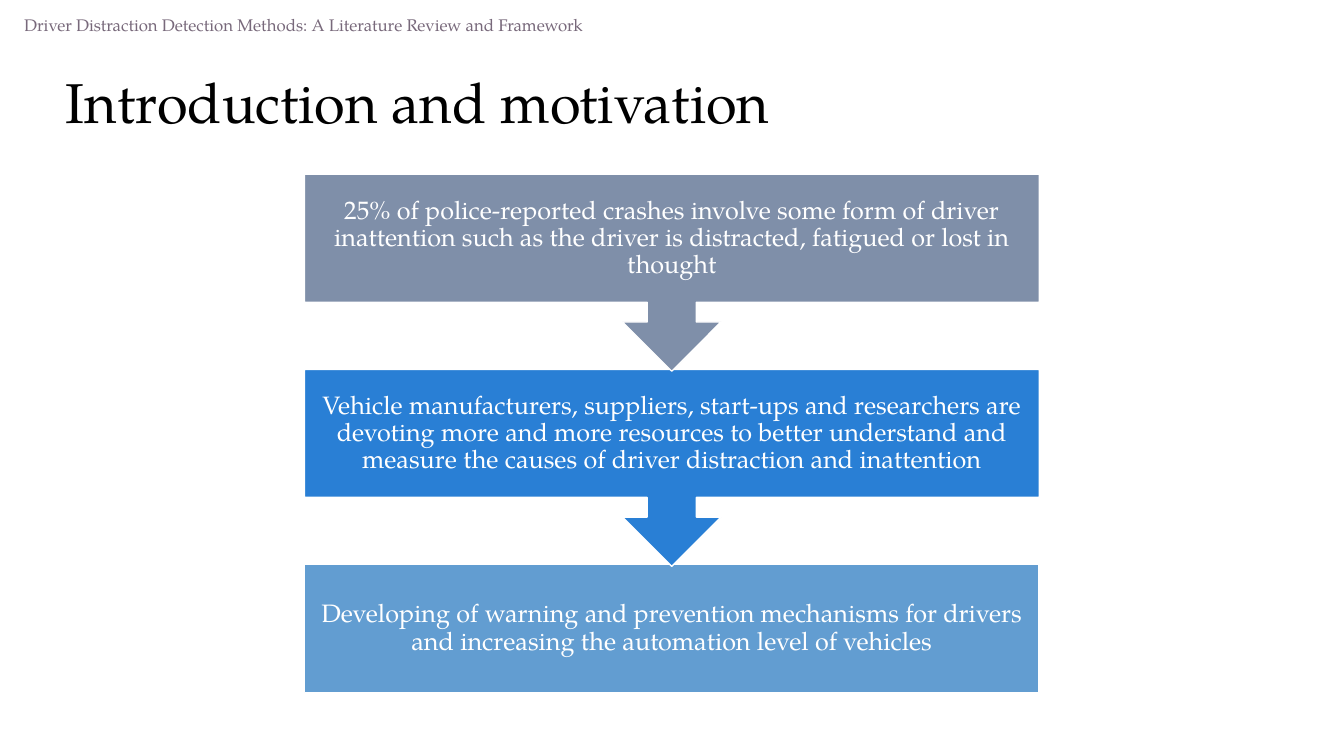
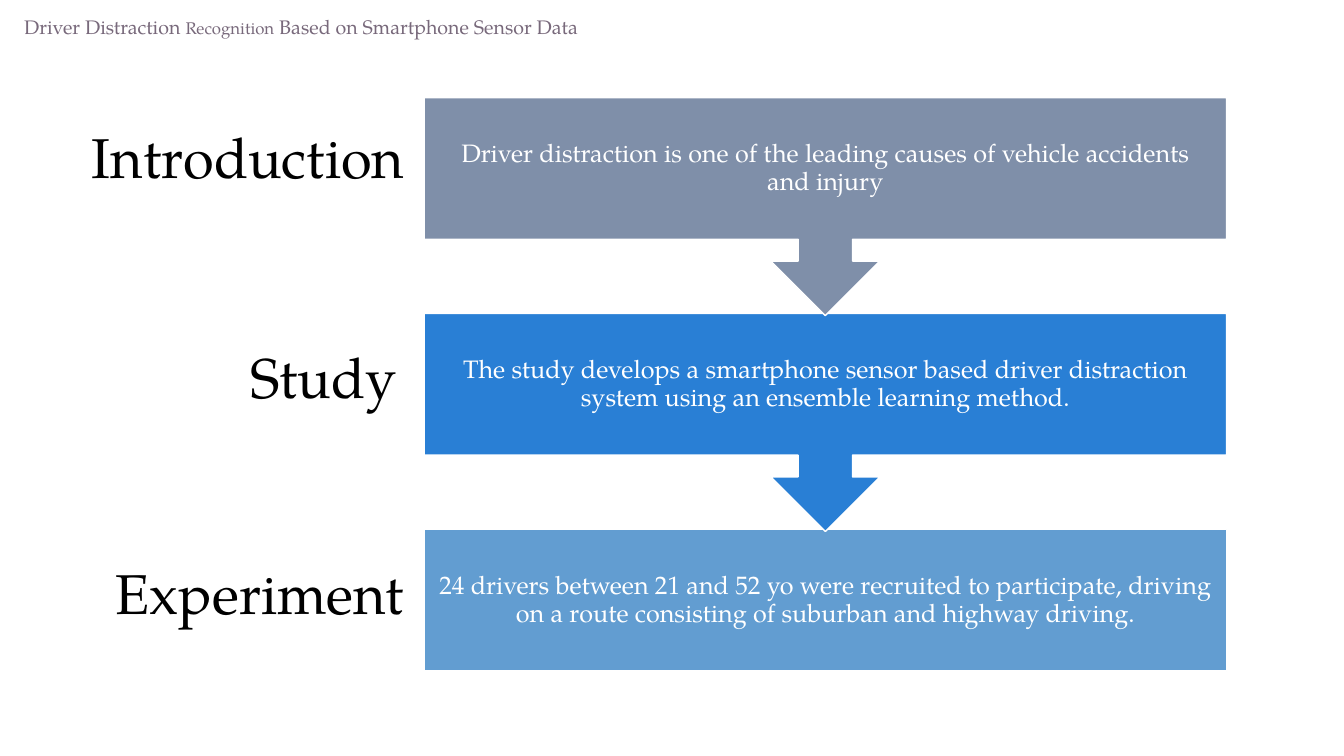
from pptx import Presentation
from pptx.dml.color import RGBColor
from pptx.enum.shapes import MSO_SHAPE
from pptx.enum.text import MSO_ANCHOR, MSO_AUTO_SIZE, PP_ALIGN
from pptx.util import Cm, Pt

RECT, CALLOUT = MSO_SHAPE.RECTANGLE, MSO_SHAPE.DOWN_ARROW_CALLOUT
TOP, MIDDLE = MSO_ANCHOR.TOP, MSO_ANCHOR.MIDDLE
LEFT, CENTER, RIGHT = PP_ALIGN.LEFT, PP_ALIGN.CENTER, PP_ALIGN.RIGHT
NO_FIT = MSO_AUTO_SIZE.NONE

FONT = "TeX Gyre Pagella"
COLORS = {
    "title": "000000",
    "header": "78697B",
    "light": "FFFFFF",
    "slate": "7F8FA9",
    "blue": "297FD5",
    "sky": "629DD1",
}
STEP_COLORS = ("slate", "blue", "sky")
TITLE_ONLY = 5
BOX_SHARE = 0.65      # part of a callout's height taken by its box
OVERLAP = 1.01        # callout height relative to the step pitch


def rgb(name):
    return RGBColor.from_string(COLORS[name])


def write(s, runs, color, align=LEFT, anchor=TOP, spacing=1.0):
    """Fill a shape with one paragraph made of (text, size) runs."""
    tf = s.text_frame
    tf.word_wrap = True
    tf.auto_size = NO_FIT
    tf.vertical_anchor = anchor
    p = tf.paragraphs[0]
    p.alignment = align
    p.line_spacing = spacing
    for text, size in runs:
        r = p.add_run()
        r.text = text
        r.font.name = FONT
        r.font.size = Pt(size)
        r.font.color.rgb = rgb(color)


def add_header(slide, runs):
    s = slide.shapes.add_textbox(Cm(0.36), Cm(0.25), Cm(23.88), Cm(1.12))
    write(s, runs, "header")


def style_heading(s, text, box, align=LEFT, anchor=TOP):
    s.left, s.top, s.width, s.height = (Cm(v) for v in box)
    write(s, [(text, 40)], "title", align, anchor, 0.9)


def add_steps(slide, texts, box):
    """Stack the texts as arrow callouts that end in a plain rectangle."""
    left, top, width, height = box
    last = len(texts) - 1
    pitch = height / (last + BOX_SHARE * OVERLAP)
    callout_height = pitch * OVERLAP
    for i in range(last, -1, -1):
        kind, step_height = CALLOUT, callout_height
        if i == last:
            kind, step_height = RECT, callout_height * BOX_SHARE
        s = slide.shapes.add_shape(kind, Cm(left), Cm(top + i * pitch),
                                   Cm(width), Cm(step_height))
        s.shadow.inherit = False
        s.fill.solid()
        s.fill.fore_color.rgb = rgb(STEP_COLORS[i])
        s.line.color.rgb = rgb("light")
        s.line.width = Pt(1)
        tf = s.text_frame
        tf.margin_left = tf.margin_right = Cm(0.36)
        tf.margin_top = tf.margin_bottom = Cm(0.36)
        write(s, [(texts[i], 18)], "light", CENTER, MIDDLE, 0.9)


def add_motivation_slide(prs):
    slide = prs.slides.add_slide(prs.slide_layouts[TITLE_ONLY])
    add_steps(slide, (
        "25% of police-reported crashes involve some form of driver "
        "inattention such as the driver is distracted, fatigued or lost in "
        "thought",
        "Vehicle manufacturers, suppliers, start-ups and researchers are "
        "devoting more and more resources to better understand and measure "
        "the causes of driver distraction and inattention",
        "Developing of warning and prevention mechanisms for drivers and "
        "increasing the automation level of vehicles",
    ), (7.67, 4.39, 18.52, 13.06))
    add_header(slide, [("Driver Distraction Detection Methods: "
                        "A Literature Review and Framework", 12)])
    style_heading(slide.shapes.title, "Introduction and motivation",
                  (1.4, 1.37, 19.51, 2.57), anchor=MIDDLE)


def add_study_slide(prs):
    slide = prs.slides.add_slide(prs.slide_layouts[TITLE_ONLY])
    label_width, label_height = 8.61, 1.9
    style_heading(slide.shapes.title, "Introduction",
                  (1.83, 3.15, label_width, label_height), RIGHT)
    add_steps(slide, (
        "Driver distraction is one of the leading causes of vehicle "
        "accidents and injury",
        "The study develops a smartphone sensor based driver distraction "
        "system using an ensemble learning method.",
        "24 drivers between 21 and 52 yo were recruited to participate, "
        "driving on a route consisting of suburban and highway driving.",
    ), (10.69, 2.46, 20.22, 14.45))
    for text, left, top in (("Study", 1.63, 8.71),
                            ("Experiment", 1.83, 14.15)):
        s = slide.shapes.add_textbox(0, 0, 0, 0)
        style_heading(s, text, (left, top, label_width, label_height), RIGHT)
    add_header(slide, [("Driver Distraction ", 14), ("Recognition", 12),
                       (" Based on Smartphone Sensor Data", 14)])


def main():
    prs = Presentation()
    prs.slide_width, prs.slide_height = Cm(33.87), Cm(19.05)
    add_motivation_slide(prs)
    add_study_slide(prs)
    prs.save("out.pptx")


if __name__ == "__main__":
    main()
